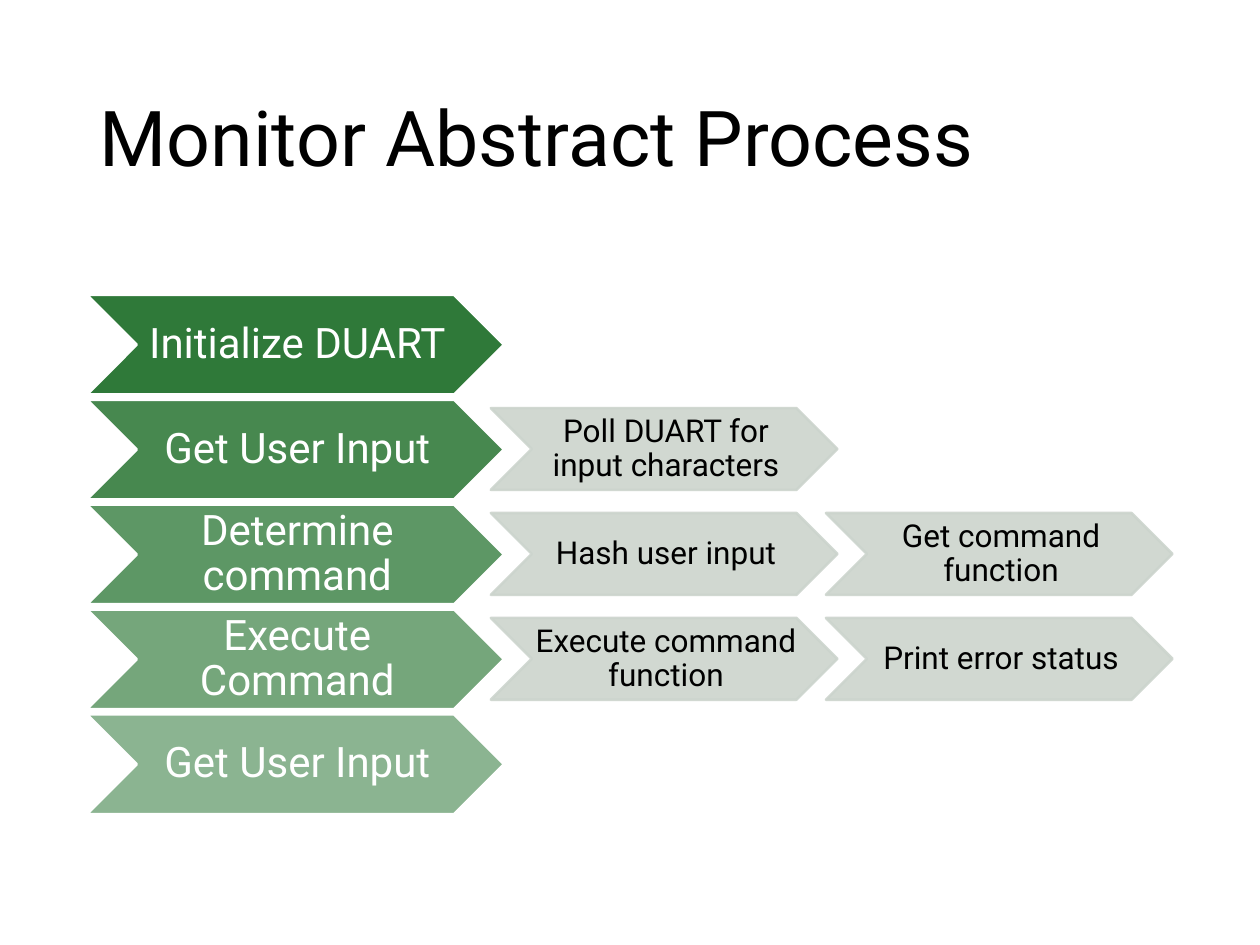
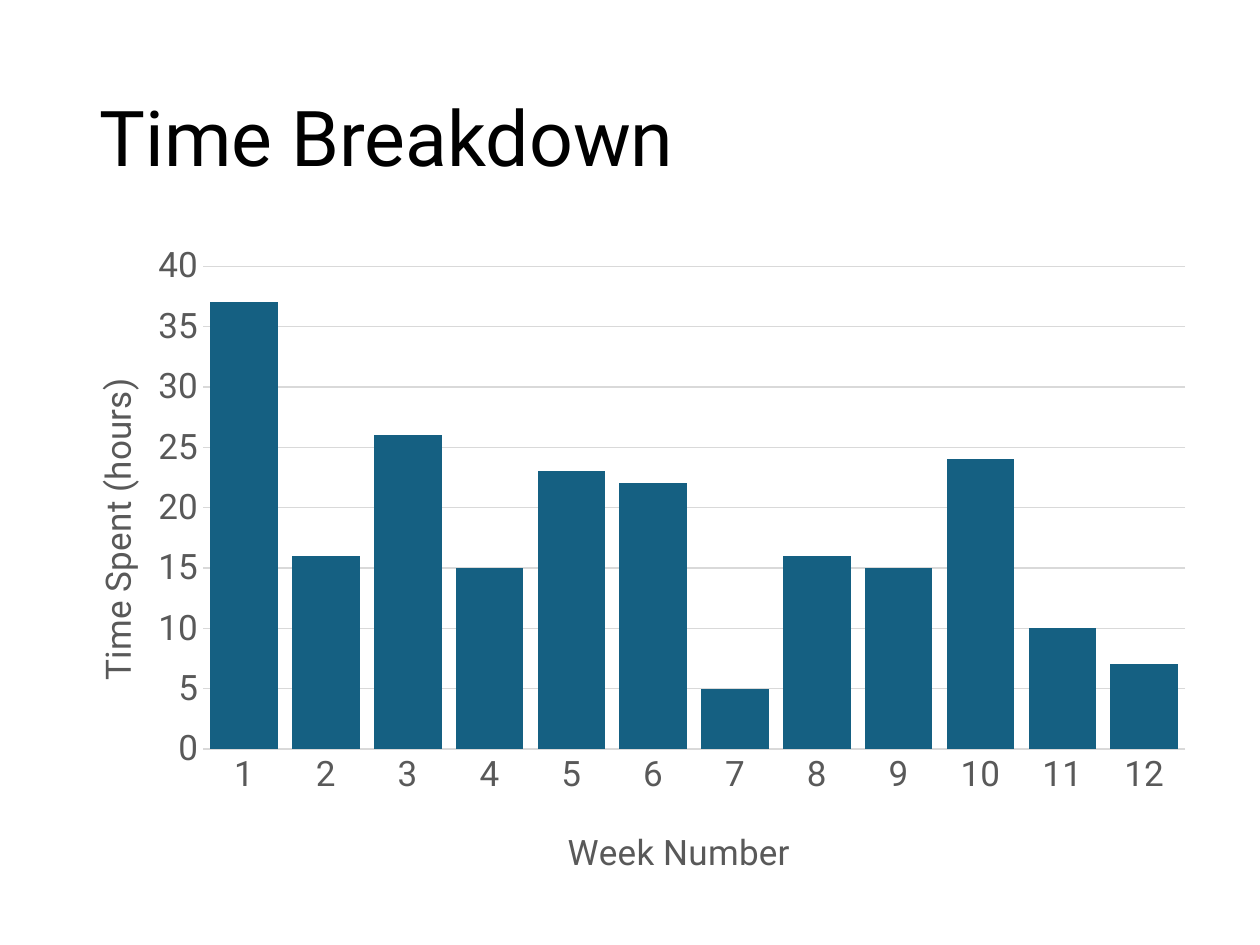
import dataclasses

import pptx
import pptx.chart.data
import pptx.dml.color
import pptx.enum.chart
import pptx.enum.shapes
import pptx.enum.text
import pptx.oxml
import pptx.oxml.ns
import pptx.util

FONT = "Roboto"
BLACK, WHITE = "000000", "FFFFFF"
GREEN, PALE = "196B24", "CCD4CD"
BLUE, AXIS_TEXT, AXIS_LINE = "156082", "595959", "D9D9D9"

# Each step of the process with its details
STEPS = [
    ("Initialize DUART", []),
    ("Get User Input", ["Poll DUART for input characters"]),
    ("Determine command", ["Hash user input", "Get command function"]),
    ("Execute Command", ["Execute command function", "Print error status"]),
    ("Get User Input", []),
]
WEEKLY_HOURS = [37, 16, 26, 15, 23, 22, 5, 16, 15, 24, 10, 7]


@dataclasses.dataclass
class Box:
    """A region, divided into a grid of columns and rows."""
    left: float
    top: float
    width: float
    height: float
    columns: int = 100
    rows: int = 100

    def cell(self, column, row, across, down, columns=100, rows=100):
        unit_x, unit_y = self.width / self.columns, self.height / self.rows
        return Box(self.left + column * unit_x, self.top + row * unit_y,
                   across * unit_x, down * unit_y, columns, rows)

    def lengths(self):
        return [pptx.util.Inches(value)
                for value in (self.left, self.top, self.width, self.height)]


PAGE = Box(0, 0, 10, 7.5)
TITLE_BOX = PAGE.cell(6.9, 5.33, 86.2, 19.33)
PROCESS_BOX = PAGE.cell(6.9, 31.2, 86.2, 55.5, rows=len(STEPS))
CHART_BOX = PAGE.cell(4.2, 24.67, 91.7, 70)


def rgb(value):
    return pptx.dml.color.RGBColor.from_string(value)


def set_all(target, values):
    for name, value in values.items():
        setattr(target, name, value)


def style_font(font, size, color):
    set_all(font, {"name": FONT, "size": pptx.util.Pt(size), "bold": False})
    font.color.rgb = rgb(color)


def style_line(line, color, width):
    line.color.rgb = rgb(color)
    line.width = pptx.util.Pt(width)


def set_opacity(parent, percent):
    color = parent.find(pptx.oxml.ns.qn("a:solidFill"))[0]
    alpha = pptx.oxml.parse_xml(
        f'<a:alpha {pptx.oxml.ns.nsdecls("a")} val="{percent * 1000}"/>')
    color.append(alpha)


def write(shape, text, size, color, alignment, frame_format):
    frame = shape.text_frame
    set_all(frame, {"word_wrap": True,
                    "auto_size": pptx.enum.text.MSO_AUTO_SIZE.NONE,
                    "vertical_anchor": pptx.enum.text.MSO_ANCHOR.MIDDLE,
                    **frame_format})
    paragraph = frame.paragraphs[0]
    paragraph.text = text
    set_all(paragraph, {"alignment": alignment, "line_spacing": 0.9})
    style_font(paragraph.font, size, color)


def add_titled_slide(presentation, title):
    slide = presentation.slides.add_slide(presentation.slide_layouts[5])
    shape = slide.shapes.title
    names = ("left", "top", "width", "height")
    set_all(shape, dict(zip(names, TITLE_BOX.lengths())))
    write(shape, title, 44, BLACK, pptx.enum.text.PP_ALIGN.LEFT, {})
    return slide


def add_chevron(slide, box, text, size, text_color, fill, opacity, line):
    shape = slide.shapes.add_shape(pptx.enum.shapes.MSO_SHAPE.CHEVRON, *box.lengths())
    shape.shadow.inherit = False
    shape.fill.solid()
    shape.fill.fore_color.rgb = rgb(fill)
    set_opacity(shape._element.spPr, opacity)
    style_line(shape.line, line, 1.5)
    insets = {"margin_left": pptx.util.Inches(0.03), "margin_right": 0,
              "margin_top": pptx.util.Inches(0.02),
              "margin_bottom": pptx.util.Inches(0.02)}
    write(shape, text, size, text_color, pptx.enum.text.PP_ALIGN.CENTER, insets)
    return shape


def add_process(slide, box):
    for row, (step, details) in enumerate(STEPS):
        # Step chevron, fading by one tenth per row
        add_chevron(slide, box.cell(0, row, 38.4, 0.95), step, 24, WHITE,
                    GREEN, 90 - 10 * row, WHITE)
        # Detail chevrons at equal distances
        for index, detail in enumerate(details):
            place = box.cell(37.2 + 30.85 * index, row + 0.08, 31.9, 0.78)
            shape = add_chevron(slide, place, detail, 18, BLACK, PALE, 90, PALE)
            set_opacity(shape.line._get_or_add_ln(), 90)


def place_in_chart(element, shares, inner=False):
    """Fix the position of a chart part by shares of the chart's size."""
    qn = pptx.oxml.ns.qn
    for old in element.findall(qn("c:layout")):
        element.remove(old)
    target = '<c:layoutTarget val="inner"/>' if inner else ""
    modes = "".join(f'<c:{name}Mode val="edge"/>' for name in "xy")
    values = "".join(f'<c:{name} val="{share}"/>' for name, share in shares.items())
    layout = pptx.oxml.parse_xml(
        f'<c:layout {pptx.oxml.ns.nsdecls("c")}><c:manualLayout>'
        f'{target}{modes}{values}</c:manualLayout></c:layout>')
    element.insert(0 if element.find(qn("c:tx")) is None else 1, layout)


def format_axis(axis, title, title_shares):
    axis.major_tick_mark = axis.minor_tick_mark = pptx.enum.chart.XL_TICK_MARK.NONE
    style_font(axis.tick_labels.font, 20, AXIS_TEXT)
    paragraph = axis.axis_title.text_frame.paragraphs[0]
    paragraph.text = title
    style_font(paragraph.runs[0].font, 20, AXIS_TEXT)
    place_in_chart(axis.axis_title._element, title_shares)


def add_hours_chart(slide, box):
    data = pptx.chart.data.CategoryChartData()
    data.categories = [str(week + 1) for week in range(len(WEEKLY_HOURS))]
    data.add_series("Series 1", WEEKLY_HOURS)
    chart = slide.shapes.add_chart(
        pptx.enum.chart.XL_CHART_TYPE.COLUMN_CLUSTERED, *box.lengths(), data).chart
    set_all(chart, {"has_legend": False, "has_title": False})
    style_font(chart.font, 10, BLACK)

    # Columns
    plot = chart.plots[0]
    set_all(plot, {"gap_width": 21, "overlap": -2, "vary_by_categories": False})
    fill = plot.series[0].format.fill
    fill.solid()
    fill.fore_color.rgb = rgb(BLUE)

    # Axes
    weeks, hours = chart.category_axis, chart.value_axis
    format_axis(weeks, "Week Number", {"x": 0.44, "y": 0.89})
    format_axis(hours, "Time Spent (hours)", {"x": 0.03, "y": 0.21})
    set_all(hours, {"minimum_scale": 0, "maximum_scale": 40, "major_unit": 5,
                    "has_major_gridlines": True})
    style_line(weeks.format.line, AXIS_LINE, 0.75)
    style_line(hours.major_gridlines.format.line, AXIS_LINE, 0.75)
    hours.format.line.fill.background()
    plot_area = chart._chartSpace.chart.plotArea
    place_in_chart(plot_area, {"x": 0.13, "y": 0.05, "w": 0.85, "h": 0.73}, inner=True)


def main():
    presentation = pptx.Presentation()
    presentation.slide_width = pptx.util.Inches(PAGE.width)
    presentation.slide_height = pptx.util.Inches(PAGE.height)
    add_process(add_titled_slide(presentation, "Monitor Abstract Process"), PROCESS_BOX)
    add_hours_chart(add_titled_slide(presentation, "Time Breakdown"), CHART_BOX)
    presentation.save("out.pptx")


if __name__ == "__main__":
    main()
